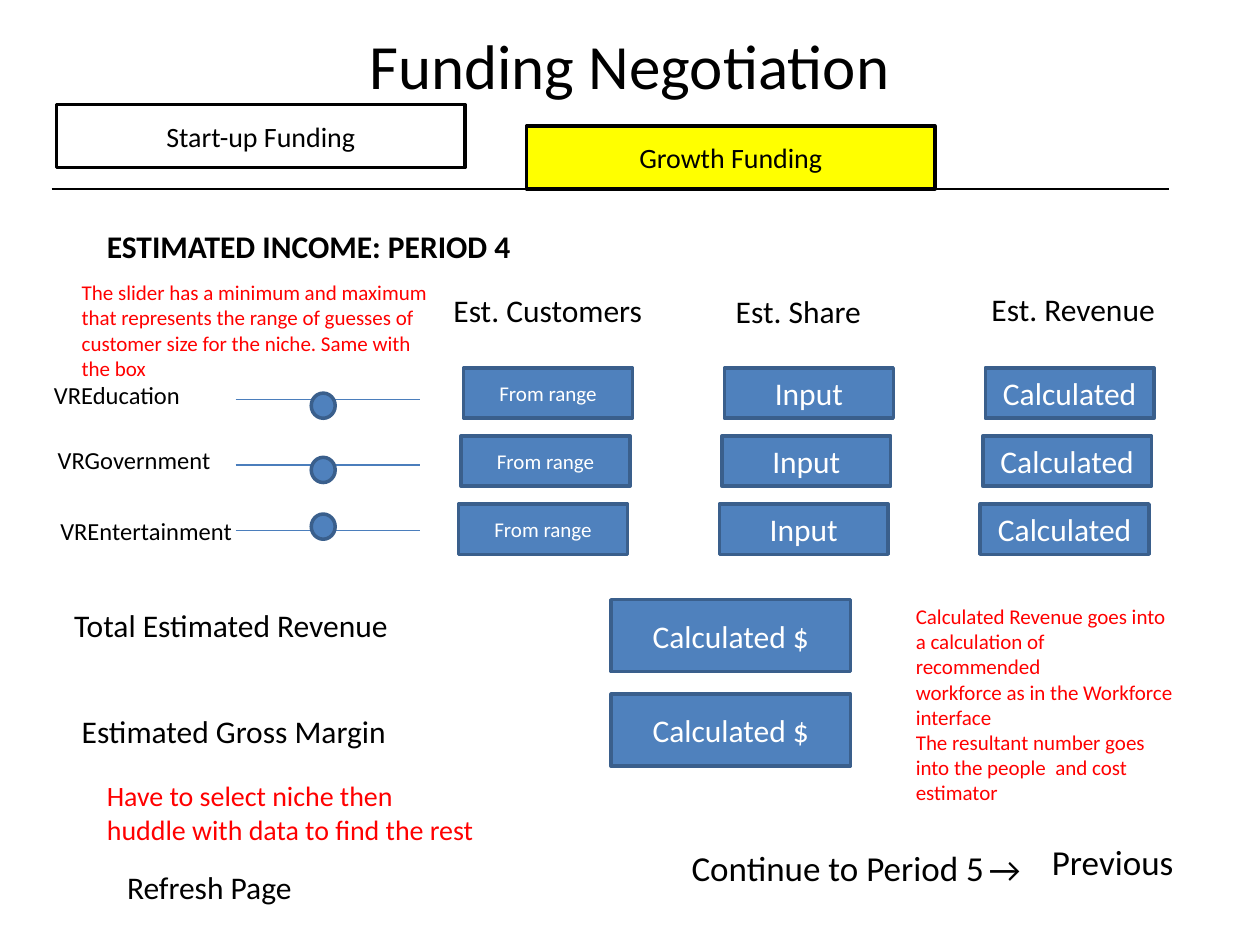
from lxml import etree
from pptx import Presentation
from pptx.dml.color import RGBColor
from pptx.enum.shapes import MSO_CONNECTOR, MSO_SHAPE
from pptx.enum.text import MSO_ANCHOR, MSO_AUTO_SIZE, PP_ALIGN
from pptx.oxml.ns import qn
from pptx.util import Inches, Pt

RECTANGLE = MSO_SHAPE.RECTANGLE
OVAL = MSO_SHAPE.OVAL
STRAIGHT = MSO_CONNECTOR.STRAIGHT
TOP, MIDDLE = MSO_ANCHOR.TOP, MSO_ANCHOR.MIDDLE
LEFT, CENTER = PP_ALIGN.LEFT, PP_ALIGN.CENTER
GROW = MSO_AUTO_SIZE.SHAPE_TO_FIT_TEXT


def rgb(value):
    return RGBColor.from_string(value)


class FundingSlide:
    font = "Calibri"
    black, white, red, yellow = "000000", "FFFFFF", "FF0000", "FFFF00"
    blue, border, track = "4F81BD", "3A5F8C", "4B7EBC"

    def __init__(self, slide):
        self.slide = slide

    def set_words(self, frame, paragraphs, size, color, align=LEFT, bold=False):
        for index, words in enumerate(paragraphs):
            paragraph = frame.add_paragraph() if index else frame.paragraphs[0]
            paragraph.text = words
            paragraph.alignment = align
            paragraph.font.name = self.font
            paragraph.font.size = Pt(size)
            paragraph.font.bold = bold
            paragraph.font.color.rgb = rgb(color)

    def title(self, words, left, top, width, height):
        heading = self.slide.shapes.title
        heading.left, heading.top = Inches(left), Inches(top)
        heading.width, heading.height = Inches(width), Inches(height)
        frame = heading.text_frame
        frame.word_wrap = False
        frame.auto_size = GROW
        frame.vertical_anchor = TOP
        self.set_words(frame, [words], 36, self.black)

    def text(self, paragraphs, left, top, width, height, size=18,
             color=black, bold=False, wrap=False):
        box = self.slide.shapes.add_textbox(
            Inches(left), Inches(top), Inches(width), Inches(height))
        frame = box.text_frame
        frame.word_wrap = wrap
        frame.auto_size = GROW
        self.set_words(frame, paragraphs, size, color, bold=bold)

    def shape(self, kind, left, top, width, height, fill=blue, border=border):
        shape = self.slide.shapes.add_shape(
            kind, Inches(left), Inches(top), Inches(width), Inches(height))
        shape.shadow.inherit = False
        if fill:
            shape.fill.solid()
            shape.fill.fore_color.rgb = rgb(fill)
        else:
            shape.fill.background()
        shape.line.color.rgb = rgb(border)
        shape.line.width = Pt(2)
        return shape

    def box(self, words, left, top, width, height, size=18, color=white, **style):
        frame = self.shape(RECTANGLE, left, top, width, height, **style).text_frame
        frame.word_wrap = True
        frame.vertical_anchor = MIDDLE
        self.set_words(frame, [words], size, color, CENTER)

    def tab(self, words, left, top, fill):
        self.box(words, left, top, 3.24, 0.5, 16, self.black,
                 fill=fill, border=self.black)

    def line(self, left, right, y, color, weight):
        rule = self.slide.shapes.add_connector(
            STRAIGHT, Inches(left), Inches(y), Inches(right), Inches(y))
        rule.line.color.rgb = rgb(color)
        rule.line.width = Pt(weight)
        etree.SubElement(rule._element.spPr, qn("a:effectLst"))

    def slider(self, track_y, knob_top):
        self.line(1.87, 3.33, track_y, self.track, 0.75)
        self.shape(OVAL, 2.47, knob_top, 0.19, 0.2)


def main():
    deck = Presentation()
    deck.slide_width, deck.slide_height = Inches(10), Inches(7.5)
    page = FundingSlide(deck.slides.add_slide(deck.slide_layouts[5]))

    page.title("Funding Negotiation", 2.83, 0.16, 4.37, 0.71)
    page.tab("Start-up Funding", 0.45, 0.83, None)
    page.tab("Growth Funding", 4.18, 1, page.yellow)
    page.line(0.41, 9.28, 1.5, page.black, 1.5)

    page.text(["ESTIMATED INCOME: PERIOD 4"], 0.75, 1.75, 3.44, 0.4, bold=True)
    for heading, left, top, width in (
        ("Est. Customers", 3.5, 2.26, 1.71),
        ("Est. Share", 5.74, 2.27, 1.21),
        ("Est. Revenue", 7.77, 2.25, 1.51),
    ):
        page.text([heading], left, top, width, 0.4)

    for column, (entry, size) in enumerate(
            (("From range", 12), ("Input", 18), ("Calculated", 18))):
        for row in range(3):
            page.box(entry, 3.68 + 2.07 * column - 0.02 * row,
                     2.92 + 0.54 * row, 1.34, 0.4, size)

    for niche, left, top, width, track_y, knob_top in (
        ("VREducation", 0.33, 2.97, 1.21, 3.17, 3.12),
        ("VRGovernment", 0.36, 3.48, 1.43, 3.69, 3.63),
        ("VREntertainment", 0.38, 4.05, 1.58, 4.21, 4.08),
    ):
        page.text([niche], left, top, width, 0.34, 14)
        page.slider(track_y, knob_top)

    for total, left, top, width, result_top in (
        ("Total Estimated Revenue", 0.49, 4.76, 2.72, 4.76),
        ("Estimated Gross Margin", 0.55, 5.6, 2.64, 5.51),
    ):
        page.text([total], left, top, width, 0.4)
        page.box("Calculated $", 4.85, result_top, 1.9, 0.57)

    page.text(["The slider has a minimum and maximum that represents the range of "
               "guesses of customer size for the niche. Same with the box"],
              0.55, 2.17, 2.95, 0.91, 12, page.red, wrap=True)
    page.text(["Calculated Revenue goes into a calculation of recommended\n"
               "workforce as in the Workforce interface",
               "The resultant number goes into the people  and cost estimator"],
              7.17, 4.74, 2.24, 1.72, 12, page.red, wrap=True)
    page.text(["Have to select niche then\nhuddle with data to find the rest"],
              0.75, 6.13, 3.15, 0.64, 16, page.red)

    page.text(["Refresh Page"], 0.91, 6.84, 1.52, 0.4)
    page.text(["Continue to Period 5"], 5.39, 6.67, 2.55, 0.44, 20)
    page.text(["→"], 7.75, 6.68, 0.31, 0.44, 20, wrap=True)
    page.text(["Previous"], 8.25, 6.62, 1.18, 0.44, 20)

    deck.save("out.pptx")


if __name__ == "__main__":
    main()
